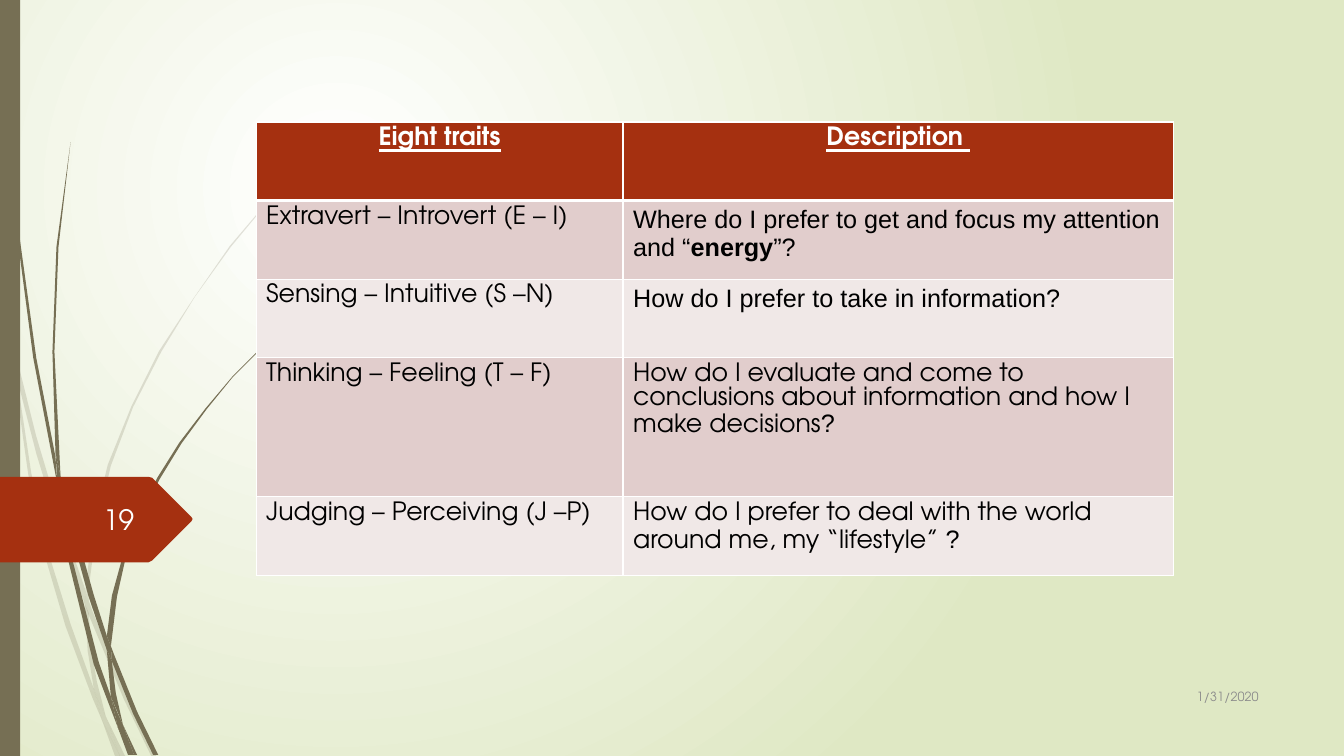
import pptx
import pptx.util
import pptx.dml.color
import pptx.enum.shapes
import pptx.enum.text
import pptx.oxml
import pptx.oxml.ns

Inches, Pt = pptx.util.Inches, pptx.util.Pt
ALIGN = pptx.enum.text.PP_ALIGN
qn = pptx.oxml.ns.qn
NS = pptx.oxml.ns.nsdecls("a")
FONT = "TeX Gyre Adventor"
COLORS = {
    "white": "FFFFFF", "glow": "DFE8C4", "olive": "766F54", "rust": "A53010",
    "rose": "E1CDCC", "blush": "F0E8E7", "black": "000000", "gray": "8C8C8C",
    "number": "FEFFFF",
}

PALE_WISPS = [
    "0.11,3.5 0.09,3.22 0,2.82 0,2.99 0.1,3.44",
    "0.58,5.22 0.84,5.99 0.85,5.86 0.62,5.2 0.36,4.33 0.14,3.45 0.17,3.76 0.36,4.5",
    "0.92,6.07 0.88,5.96 0.88,6.1 1.23,6.94 1.5,7.5 1.55,7.5 1.27,6.92",
    "1.19,7.5 1.24,7.5 1.05,7.11",
    "0.93,6.83 0.7,6.19 0.47,5.45 0.31,4.69 0.17,3.76 0.11,3.5 0.28,4.7 0.43,5.46 0.65,6.21 0.92,6.93 1.01,7.14",
    "0.84,5.99 0.87,6.46 0.93,6.83 0.96,6.92 1.05,7.11 0.96,6.76 0.91,6.46 0.88,6.08",
    "0.88,5.84 0.96,5.22 1.1,4.62 1.32,4.04 1.6,3.49 1.93,2.95 2.29,2.45 2.68,1.98 3.12,1.54 3.12,1.53 "
    "2.68,1.97 2.28,2.44 1.92,2.96 1.58,3.48 1.3,4.04 1.07,4.61 0.92,5.22 0.85,5.84 0.88,5.96",
    "1.01,7.14 1.14,7.5 1.19,7.5",
    "0.88,6.1 0.88,5.96 0.85,5.86 0.84,5.99",
    "0.96,6.92 0.93,6.83 1.01,7.14 1.19,7.5 1.05,7.11",
]
DARK_WISPS = [
    "0.07,1.1 0.17,2.33 0.33,3.55 0.57,4.81 0.55,4.53 0.36,3.55 0.19,2.32 0.08,1.09 0.04,0 0.03,0 0.04,0.48",
    "0.88,5.92 1.06,6.45 1.06,6.31 0.93,5.9 0.6,4.72 0.64,5.05",
    "1.13,6.49 1.1,6.41 1.11,6.56 1.32,7.08 1.52,7.49 1.57,7.49 1.36,7.06",
    "1.1,6.91 0.98,6.57 0.72,5.56 0.64,5.05 0.57,4.77 0.68,5.57 0.93,6.59 1.17,7.22",
    "0.6,4.72 0.54,3.49 0.58,2.45 0.7,1.41 0.56,2.45 0.52,3.49 0.55,4.49",
    "1.33,7.49 1.36,7.49 1.22,7.19",
    "0.57,4.77 0.64,5.05 0.6,4.72 0.55,4.49",
    "1.11,6.33 1.16,5.92 1.25,5.52 1.4,5.13 1.58,4.76 1.8,4.4 2.05,4.06 2.31,3.74 2.61,3.44 2.6,3.44 "
    "2.31,3.73 2.04,4.05 1.78,4.39 1.56,4.74 1.37,5.12 1.22,5.51 1.11,5.91 1.06,6.31 1.1,6.41",
    "1.17,7.22 1.27,7.49 1.31,7.49",
    "1.06,6.45 1.1,6.91 1.22,7.19 1.15,6.88 1.11,6.56",
    "1.06,6.45 1.11,6.56 1.1,6.41 1.06,6.31",
    "1.16,7.06 1.1,6.91 1.17,7.22 1.3,7.49 1.33,7.49 1.22,7.19",
]
PAGE_ARROW = "0,4.73 1.47,4.73 1.51,4.74 1.9,5.13 1.91,5.15 1.9,5.17 1.51,5.56 1.47,5.58 0,5.58"

TRAITS = [
    ([("Eight traits", FONT, True)], [("Description ", FONT, True)]),
    ([("Extravert – Introvert (E – I)", FONT, False)],
     [("Where do I prefer to get and focus my attention and “", "Arial", False),
      ("energy", "Arial", True), ("”?", "Arial", False)]),
    ([("Sensing – Intuitive (S –N)", FONT, False)],
     [("How do I prefer to take in information?", "Arial", False)]),
    ([("Thinking – Feeling (T – F)", FONT, False)],
     [("How do I evaluate and come to conclusions about information and how I make decisions", FONT, False),
      ("?", "Arial", False)]),
    ([("Judging – Perceiving (J –P)", FONT, False)],
     [("How do I prefer to deal with the world around me, my “lifestyle”", FONT, False),
      (" ?", "Arial", False)]),
]


def rgb(name):
    return pptx.dml.color.RGBColor.from_string(COLORS[name])


class Deck:
    """Holds the style and the current slide, and draws its elements."""

    def __init__(self):
        self.prs = pptx.Presentation()
        self.prs.slide_width, self.prs.slide_height = Inches(13.33), Inches(7.5)
        self.s = self.prs.slides.add_slide(self.prs.slide_layouts[6])

    def background(self, inner, outer):
        fill = self.s.background.fill
        fill.gradient()
        for stop, name, pos in zip(fill.gradient_stops, (inner, outer), (0, 1)):
            stop.color.rgb, stop.position = rgb(name), pos
        grad = self.s.element.find(".//" + qn("a:gradFill"))
        grad.remove(grad.find(qn("a:lin")))
        grad.append(pptx.oxml.parse_xml(
            f'<a:path {NS} path="circle"><a:fillToRect l="50000" t="50000" r="100000" b="100000"/></a:path>'))

    def paint(self, sp, color, opacity=100):
        sp.shadow.inherit = False
        sp.fill.solid()
        sp.fill.fore_color.rgb = rgb(color)
        sp.line.fill.background()
        if opacity < 100:
            clr = sp.element.spPr.find(qn("a:solidFill")).find(qn("a:srgbClr"))
            clr.append(pptx.oxml.parse_xml(f'<a:alpha {NS} val="{opacity * 1000}"/>'))

    def bar(self, x, y, w, h, color):
        rect = pptx.enum.shapes.MSO_SHAPE.RECTANGLE
        self.paint(self.s.shapes.add_shape(rect, Inches(x), Inches(y), Inches(w), Inches(h)), color)

    def outline(self, points, color, opacity=100):
        start, *rest = [tuple(Inches(float(n)) for n in pt.split(",")) for pt in points.split()]
        fb = self.s.shapes.build_freeform(*start)
        fb.add_line_segments(rest, close=True)
        self.paint(fb.convert_to_shape(), color, opacity)

    def run(self, p, text, size, color, font=FONT, bold=False, underline=False):
        r = p.add_run()
        r.text = text
        r.font.size, r.font.name, r.font.color.rgb = Pt(size), font, rgb(color)
        r.font.bold, r.font.underline = bold, underline

    def text(self, x, y, w, h, text, size, color):
        tf = self.s.shapes.add_textbox(Inches(x), Inches(y), Inches(w), Inches(h)).text_frame
        tf.word_wrap = True
        tf.vertical_anchor = pptx.enum.text.MSO_ANCHOR.MIDDLE
        tf.paragraphs[0].alignment = ALIGN.RIGHT
        self.run(tf.paragraphs[0], text, size, color)

    def borders(self, cell, header):
        for i, side in enumerate("LRTB"):
            width = Pt(3 if header and side == "B" else 1)
            cell._tc.get_or_add_tcPr().insert(i, pptx.oxml.parse_xml(
                f'<a:ln{side} {NS} w="{width}"><a:solidFill><a:srgbClr val="{COLORS["white"]}"/>'
                f'</a:solidFill></a:ln{side}>'))

    def table(self, x, y, widths, heights, rows):
        table = self.s.shapes.add_table(len(rows), len(widths), Inches(x), Inches(y),
                                        Inches(sum(widths)), Inches(sum(heights))).table
        for col, width in zip(table.columns, widths):
            col.width = Inches(width)
        for i, row in enumerate(rows):
            table.rows[i].height = Inches(heights[i])
            header = i == 0
            for j, runs in enumerate(row):
                cell = table.cell(i, j)
                cell.fill.solid()
                cell.fill.fore_color.rgb = rgb("rust" if header else ("blush", "rose")[i % 2])
                self.borders(cell, header)
                p = cell.text_frame.paragraphs[0]
                p.alignment = ALIGN.CENTER if header else ALIGN.LEFT
                for text, font, bold in runs:
                    self.run(p, text, 18, "white" if header else "black", font, bold, header)
        return table


def main():
    deck = Deck()
    deck.background("white", "glow")
    for wisps, opacity in ((PALE_WISPS, 20), (DARK_WISPS, 100)):
        for wisp in wisps:
            deck.outline(wisp, "olive", opacity)
    deck.bar(0, 0, 0.2, 7.5, "olive")
    deck.outline(PAGE_ARROW, "rust")
    table = deck.table(2.54, 1.21, (3.64, 5.46), (0.78, 0.78, 0.78, 1.38, 0.78), TRAITS)
    table.cell(3, 1).text_frame.paragraphs[0].space_before = Pt(10)
    deck.text(11.33, 6.7, 1.25, 0.41, "1/31/2020", 9, "gray")
    deck.text(0.58, 4.95, 0.85, 0.4, "19", 20, "number")
    deck.prs.save("out.pptx")


if __name__ == "__main__":
    main()
